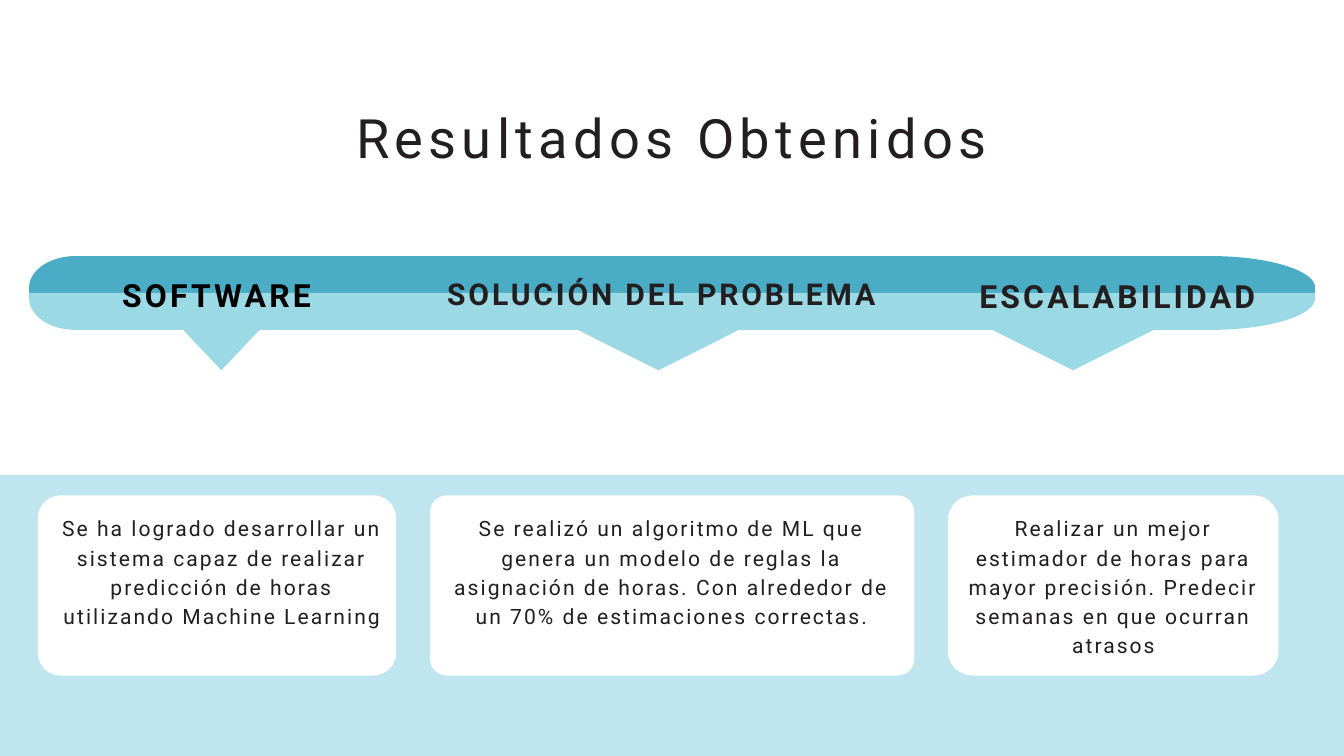
from math import cos, pi, sin
from pptx import Presentation
from pptx.dml.color import RGBColor as RGB
from pptx.enum.shapes import MSO_SHAPE as SHAPE
from pptx.enum.text import MSO_AUTO_SIZE as FIT, PP_ALIGN as ALIGN
from pptx.util import Pt

HUES = {"panel": "BFE5EF", "dark": "4BACC6", "light": "9BD9E4",
        "card": "FFFFFF", "ink": "231F20", "black": "000000"}

deck = Presentation()
deck.slide_width, deck.slide_height = Pt(1440), Pt(810)
slide = deck.slides.add_slide(deck.slide_layouts[6])
shapes = slide.shapes


def paint(shape, hue):
    shape.shadow.inherit = False
    shape.fill.solid()
    shape.fill.fore_color.rgb = RGB.from_string(HUES[hue])
    shape.line.fill.background()


def write(text, box, size, lead, gap, hue="ink", bold=False):
    frame = shapes.add_textbox(*map(Pt, box)).text_frame
    looks = {"margin_left": 0, "margin_top": 0, "margin_right": 0,
             "margin_bottom": 0, "word_wrap": True, "auto_size": FIT.NONE}
    for name, value in looks.items():
        setattr(frame, name, value)
    para = frame.paragraphs[0]
    para.alignment, para.line_spacing = ALIGN.CENTER, Pt(lead)
    run = para.add_run()
    run.text = text
    for name, value in {"name": "Roboto", "size": Pt(size), "bold": bold}.items():
        setattr(run.font, name, value)
    run.font.color.rgb = RGB.from_string(HUES[hue])
    run.font._element.set("spc", str(round(gap * 100)))


# Lower panel
paint(shapes.add_shape(SHAPE.RECTANGLE, 0, Pt(509), Pt(1440), Pt(301)), "panel")

# Band: points are (x, distance from the middle line)
MID, HALF, LIP, TIP = 313.9, 39.6, 5.8, 82.8
turn = [i * pi / 48 for i in range(25)]
rise = HALF - LIP
left = [(31.2, 0)] + [(81.4 - 50.2 * cos(t), LIP + rise * sin(t)) for t in turn]
right = [(1296 + 113 * cos(t), LIP + rise * sin(t)) for t in turn[::-1]] + [(1409, 0)]
join1 = [(434, 0), (434, HALF)]
join2 = [(983.5, 0), (983.5, HALF)]
parts = [(left, join1[::-1], 237.2, 40.8),
         (join1, join2[::-1], 705.4, 86.2),
         (join2, right, 1149.7, 86.4)]
for start, end, mid, half in parts:
    notch = [(mid - half, HALF), (mid, TIP), (mid + half, HALF)]
    for hue, side, middle in (("dark", -1, []), ("light", 1, notch)):
        dots = [(Pt(x), Pt(MID + side * d)) for x, d in start + middle + end]
        path = shapes.build_freeform(*dots[0])
        path.add_line_segments(dots[1:], close=True)
        paint(path.convert_to_shape(), hue)

# Cards: left, width, corner radius
for x, width, curve in ((40.5, 384, 24.5), (460.8, 518.8, 17.8), (1015.5, 354.3, 26.7)):
    card = shapes.add_shape(SHAPE.ROUNDED_RECTANGLE, Pt(x), Pt(530.8), Pt(width), Pt(193))
    card.adjustments[0] = curve / 193
    paint(card, "card")

# Band headings
heads = [("SOFTWARE ", (110.9, 289.4, 254.2, 46), 34.2, 47.2, 3.4, "black"),
         ("SOLUCIÓN DEL PROBLEMA", (449.3, 289.4, 519, 43), 32.2, 44.4, 3.1, "ink"),
         ("ESCALABILIDAD", (1023.8, 290.2, 347, 46), 34.2, 47.2, 3.4, "ink")]
for head in heads:
    write(*head, bold=True)

# Card texts
notes = [("Se ha logrado desarrollar un sistema capaz de realizar predicción "
          "de horas utilizando Machine Learning", 62.6, 350.6),
         ("Se realizó un algoritmo de ML que genera un modelo de reglas la "
          "asignación de horas. Con alrededor de un 70% de estimaciones correctas.",
          484.6, 470.2),
         ("Realizar un mejor estimador de horas para mayor precisión. "
          "Predecir semanas en que ocurran atrasos", 1034.6, 316.8)]
for text, x, width in notes:
    write(text, (x, 548.6, width, 153.4), 22.6, 31.2, 2.2)

# Title
write("Resultados Obtenidos", (80.6, 101.5, 1278, 77.8), 58.1, 80.2, 5.7)

deck.save("out.pptx")
